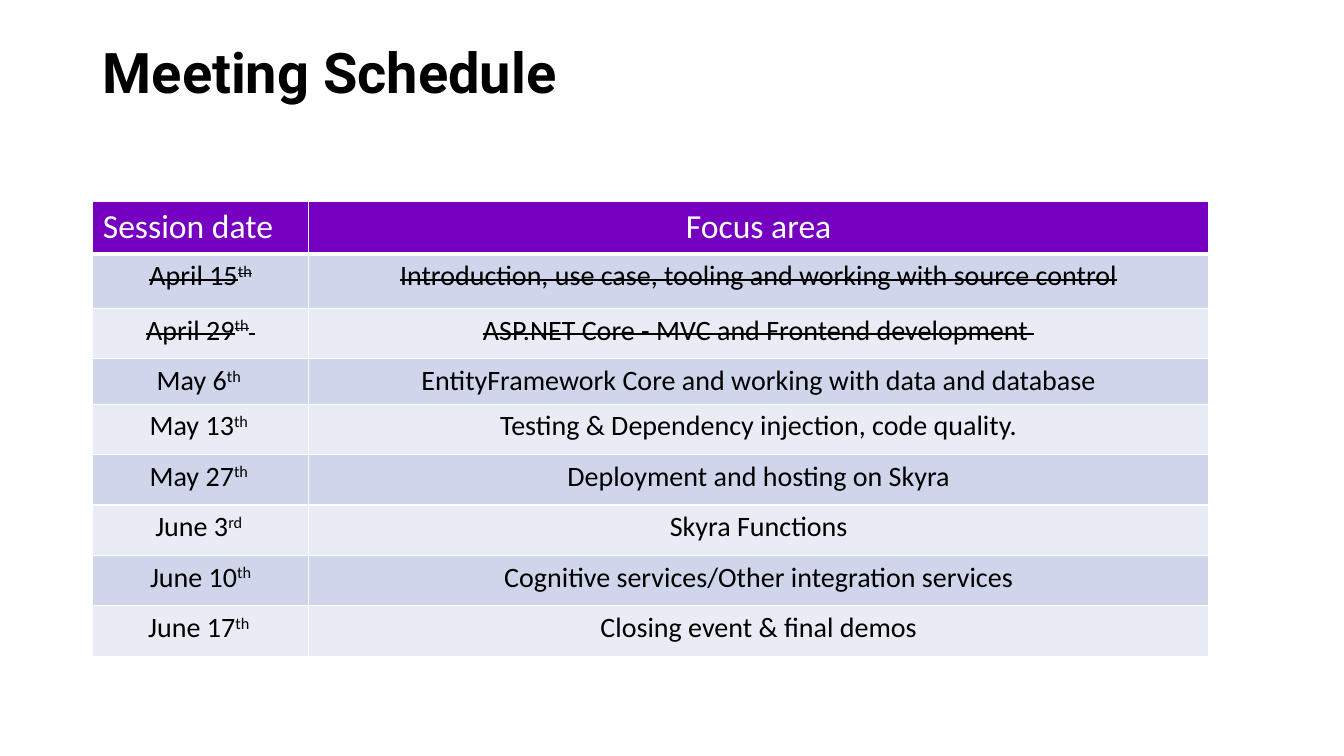
"""Build the meeting schedule slide."""
from lxml.etree import SubElement
from pptx import Presentation
from pptx.dml.color import RGBColor
from pptx.enum.text import MSO_ANCHOR, MSO_AUTO_SIZE, PP_ALIGN
from pptx.oxml.ns import qn
from pptx.util import Inches, Pt

COLORS = {
    "black": "000000",
    "white": "FFFFFF",
    "header": "7500C0",
    "odd": "CFD5EA",
    "even": "E9EBF5",
}
ROW_HEIGHTS = [0.52, 0.54, 0.5, 0.45, 0.5, 0.5, 0.5, 0.5, 0.5]
COLUMN_WIDTHS = [2.14, 8.93]
SESSIONS = [
    ("April 15", "th", "", "Introduction, use case, tooling and working with source control", True),
    ("April 29", "th", " ", "ASP.NET Core - MVC and Frontend development ", True),
    ("May 6", "th ", "", "EntityFramework Core and working with data and database", False),
    ("May 13", "th ", "", "Testing & Dependency injection, code quality.", False),
    ("May 27", "th ", "", "Deployment and hosting on Skyra", False),
    ("June 3", "rd ", "", "Skyra Functions", False),
    ("June 10", "th", "", "Cognitive services/Other integration services", False),
    ("June 17", "th ", "", "Closing event & final demos", False),
]


def add_text(paragraph, text, size=20, font="Calibri", color="black", bold=False,
             strike=False, superscript=False):
    run = paragraph.add_run()
    run.text = text
    run.font.size = Pt(size)
    run.font.name = font
    run.font.bold = bold
    run.font.color.rgb = RGBColor.from_string(COLORS[color])
    properties = run._r.get_or_add_rPr()
    if strike:
        properties.set("strike", "sngStrike")
    if superscript:
        properties.set("baseline", "30000")


def format_cell(cell, fill, bottom_width=1):
    properties = cell._tc.get_or_add_tcPr()
    for side, width in (("L", 1), ("R", 1), ("T", 1), ("B", bottom_width)):
        line = SubElement(properties, qn(f"a:ln{side}"), w=str(Pt(width)))
        solid = SubElement(line, qn("a:solidFill"))
        SubElement(solid, qn("a:srgbClr"), val=COLORS["white"])
    cell.fill.solid()
    cell.fill.fore_color.rgb = RGBColor.from_string(COLORS[fill])


presentation = Presentation()
presentation.slide_width = Inches(13.33)
presentation.slide_height = Inches(7.5)
slide = presentation.slides.add_slide(presentation.slide_layouts[5])

title = slide.shapes.title
title.left, title.top = Inches(0.92), Inches(0.4)
title.width, title.height = Inches(11.5), Inches(1.45)
title.text_frame.auto_size = MSO_AUTO_SIZE.NONE
title.text_frame.vertical_anchor = MSO_ANCHOR.TOP
heading = title.text_frame.paragraphs[0]
heading.alignment = PP_ALIGN.LEFT
heading.line_spacing = 0.9
add_text(heading, "Meeting Schedule", size=40, font="Roboto", bold=True)

table = slide.shapes.add_table(
    len(ROW_HEIGHTS), len(COLUMN_WIDTHS), Inches(0.92), Inches(2),
    Inches(sum(COLUMN_WIDTHS)), Inches(sum(ROW_HEIGHTS))).table
for column, width in zip(table.columns, COLUMN_WIDTHS):
    column.width = Inches(width)
for row, height in zip(table.rows, ROW_HEIGHTS):
    row.height = Inches(height)

headers = [("Session date", PP_ALIGN.LEFT), ("Focus area", PP_ALIGN.CENTER)]
for cell, (label, alignment) in zip(table.rows[0].cells, headers):
    format_cell(cell, "header", bottom_width=3)
    paragraph = cell.text_frame.paragraphs[0]
    paragraph.alignment = alignment
    add_text(paragraph, label, size=24, color="white")

for index, (day, suffix, ending, focus, done) in enumerate(SESSIONS, start=1):
    cells = table.rows[index].cells
    for cell in cells:
        format_cell(cell, "odd" if index % 2 else "even")
        cell.text_frame.paragraphs[0].alignment = PP_ALIGN.CENTER
    date_paragraph, focus_paragraph = [cell.text_frame.paragraphs[0] for cell in cells]
    add_text(date_paragraph, day, strike=done)
    add_text(date_paragraph, suffix, strike=done, superscript=True)
    if ending:
        add_text(date_paragraph, ending, strike=done)
    add_text(focus_paragraph, focus, strike=done)

presentation.save("out.pptx")
